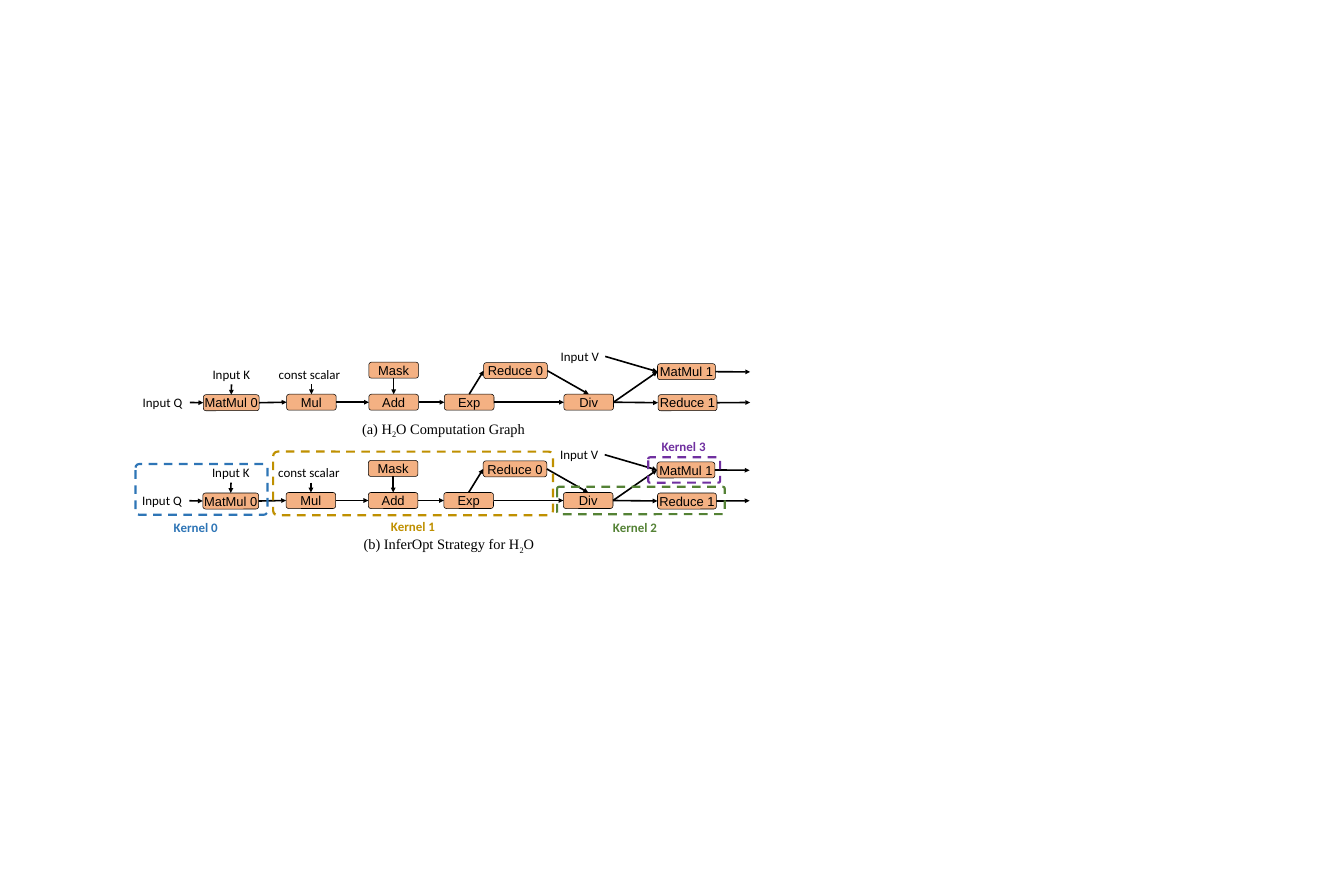
"""Draw the H2O computation graph and its split into kernels."""
from lxml import etree
from pptx import Presentation
from pptx.dml.color import RGBColor
from pptx.enum.dml import MSO_LINE_DASH_STYLE
from pptx.enum.shapes import MSO_CONNECTOR_TYPE, MSO_SHAPE
from pptx.enum.text import MSO_ANCHOR, MSO_AUTO_SIZE, PP_ALIGN
from pptx.oxml.ns import qn
from pptx.util import Pt

PX = 9144
ROUNDED = MSO_SHAPE.ROUNDED_RECTANGLE
STRAIGHT = MSO_CONNECTOR_TYPE.STRAIGHT
DASH = MSO_LINE_DASH_STYLE.DASH
MIDDLE = MSO_ANCHOR.MIDDLE
CENTER = PP_ALIGN.CENTER
LEFT_ALIGN = PP_ALIGN.LEFT
FIT = MSO_AUTO_SIZE.SHAPE_TO_FIT_TEXT
TOP, LEFT, BOTTOM, RIGHT = range(4)

COLORS = {
    "ink": "000000", "node": "F4B183", "blue": "2E75B6",
    "gold": "BF9000", "green": "548235", "purple": "7030A0",
}
NODES = {
    "MatMul 0": (392, 953, 108), "Mul": (553, 952, 96),
    "Add": (712, 952, 96), "Mask": (712, 890, 96),
    "Exp": (858, 952, 96), "Reduce 0": (934, 891, 123),
    "Div": (1089, 952, 96), "Reduce 1": (1271, 953, 114),
    "MatMul 1": (1270, 893, 112),
}
INPUTS = {
    "Input Q": (265, 948, 101), "Input K": (400, 893, 93),
    "Input V": (1073, 859, 96), "const scalar": (528, 893, 146),
}
EDGES = [
    ("Input Q", RIGHT, "MatMul 0", LEFT), ("Input K", BOTTOM, "MatMul 0", TOP),
    ("MatMul 0", RIGHT, "Mul", LEFT), ("const scalar", BOTTOM, "Mul", TOP),
    ("Mul", RIGHT, "Add", LEFT), ("Mask", BOTTOM, "Add", TOP),
    ("Add", RIGHT, "Exp", LEFT), ("Exp", TOP, "Reduce 0", LEFT),
    ("Exp", RIGHT, "Div", LEFT), ("Reduce 0", RIGHT, "Div", TOP),
    ("Div", RIGHT, "MatMul 1", LEFT), ("Div", RIGHT, "Reduce 1", LEFT),
    ("Input V", RIGHT, "MatMul 1", LEFT),
]
OUTPUTS = {"MatMul 1": (1449, 909), "Reduce 1": (1449, 968)}
KERNELS = [
    ("Kernel 0", "blue", (262, 897, 255, 98), (326, 999)),
    ("Kernel 1", "gold", (528, 873, 541, 123), (746, 998)),
    ("Kernel 2", "green", (1077, 941, 324, 53), (1175, 999)),
    ("Kernel 3", "purple", (1253, 884, 139, 49), (1269, 843)),
]
CAPTIONS = [
    (690, 807, 339, ("(a) H", "2", "O Computation Graph")),
    (693, 1030, 364, ("(b) InferOpt Strategy for H", "2", "O")),
]


class Diagram:
    """Hold the drawing style and the current slide."""

    def __init__(self, slide):
        self.shapes = slide.shapes

    def color(self, name):
        return RGBColor.from_string(COLORS[name])

    def style(self, paragraph, font, size, color="ink", bold=False, align=LEFT_ALIGN):
        paragraph.alignment = align
        paragraph.font.name = font
        paragraph.font.size = Pt(size)
        paragraph.font.bold = bold
        paragraph.font.color.rgb = self.color(color)

    def box(self, bounds, color, width):
        shape = self.shapes.add_shape(ROUNDED, *(value * PX for value in bounds))
        shape.shadow.inherit = False
        shape.line.color.rgb = self.color(color)
        shape.line.width = Pt(width)
        return shape

    def node(self, text, left, top, width):
        shape = self.box((left, top, width, 31), "ink", 0.75)
        shape.fill.solid()
        shape.fill.fore_color.rgb = self.color("node")
        frame = shape.text_frame
        frame.word_wrap = False
        frame.vertical_anchor = MIDDLE
        frame.text = text
        self.style(frame.paragraphs[0], "Arial", 18, align=CENTER)
        return shape

    def kernel_frame(self, bounds, color):
        shape = self.box(bounds, color, 3)
        shape.adjustments[0] = 0.07
        shape.fill.background()
        shape.line.dash_style = DASH

    def text_box(self, left, top, width, height, wrap):
        shape = self.shapes.add_textbox(left * PX, top * PX, width * PX, height * PX)
        shape.text_frame.word_wrap = wrap
        shape.text_frame.auto_size = FIT
        return shape

    def label(self, text, left, top, width, color="ink", bold=False):
        shape = self.text_box(left, top, width, 40, True)
        shape.text_frame.text = text
        self.style(shape.text_frame.paragraphs[0], "Calibri", 18, color, bold)
        return shape

    def caption(self, left, top, width, parts):
        shape = self.text_box(left, top, width, 44, False)
        paragraph = shape.text_frame.paragraphs[0]
        self.style(paragraph, "Times New Roman", 20)
        for part in parts:
            run = paragraph.add_run()
            run.text = part
            if part == "2":
                run._r.get_or_add_rPr().set("baseline", "-25000")

    def arrow(self, source, source_side, target=None, target_side=LEFT, end=(0, 0)):
        connector = self.shapes.add_connector(
            STRAIGHT, 0, 0, end[0] * PX, end[1] * PX)
        connector.begin_connect(source, source_side)
        if target is not None:
            connector.end_connect(target, target_side)
        connector.line.color.rgb = self.color("ink")
        connector.line.width = Pt(2.25)
        etree.SubElement(connector.line._get_or_add_ln(), qn("a:tailEnd"), type="triangle")
        etree.SubElement(connector._element.spPr, qn("a:effectLst"))

    def graph(self, dx, dy):
        parts = {}
        for draw, items in ((self.node, NODES), (self.label, INPUTS)):
            for text, (left, top, width) in items.items():
                parts[text] = draw(text, left + dx, top + dy, width)
        for source, source_side, target, target_side in EDGES:
            self.arrow(parts[source], source_side, parts[target], target_side)
        for source, (x, y) in OUTPUTS.items():
            self.arrow(parts[source], RIGHT, end=(x + dx, y + dy))


def main():
    presentation = Presentation()
    presentation.slide_width = 2598 * PX
    presentation.slide_height = 1732 * PX
    diagram = Diagram(presentation.slides.add_slide(presentation.slide_layouts[6]))
    diagram.graph(0, 0)
    for text, color, bounds, (left, top) in KERNELS:
        diagram.kernel_frame(bounds, color)
        diagram.label(text, left, top, 106, color, True)
    diagram.graph(1, -190)
    for caption in CAPTIONS:
        diagram.caption(*caption)
    presentation.save("out.pptx")


if __name__ == "__main__":
    main()
